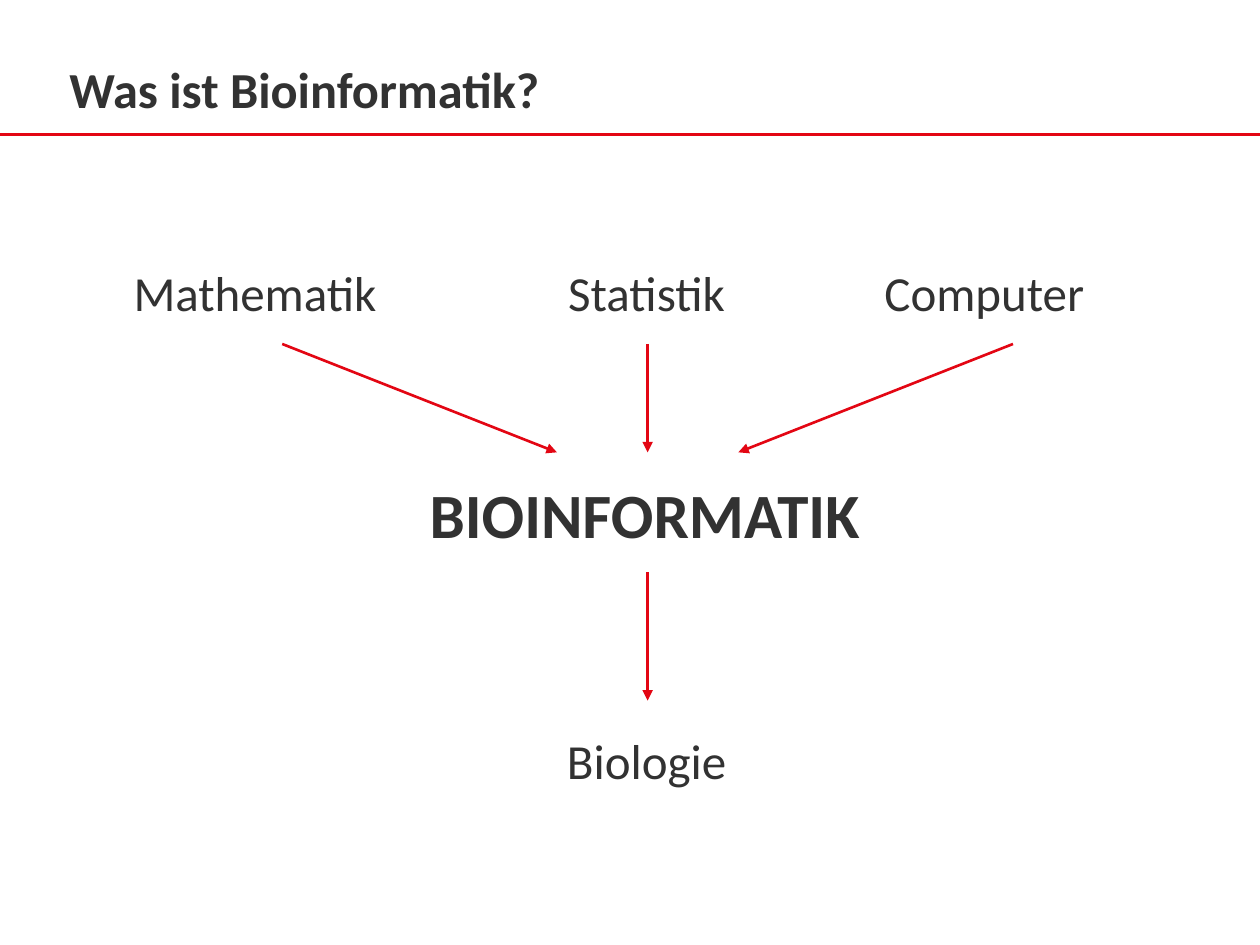
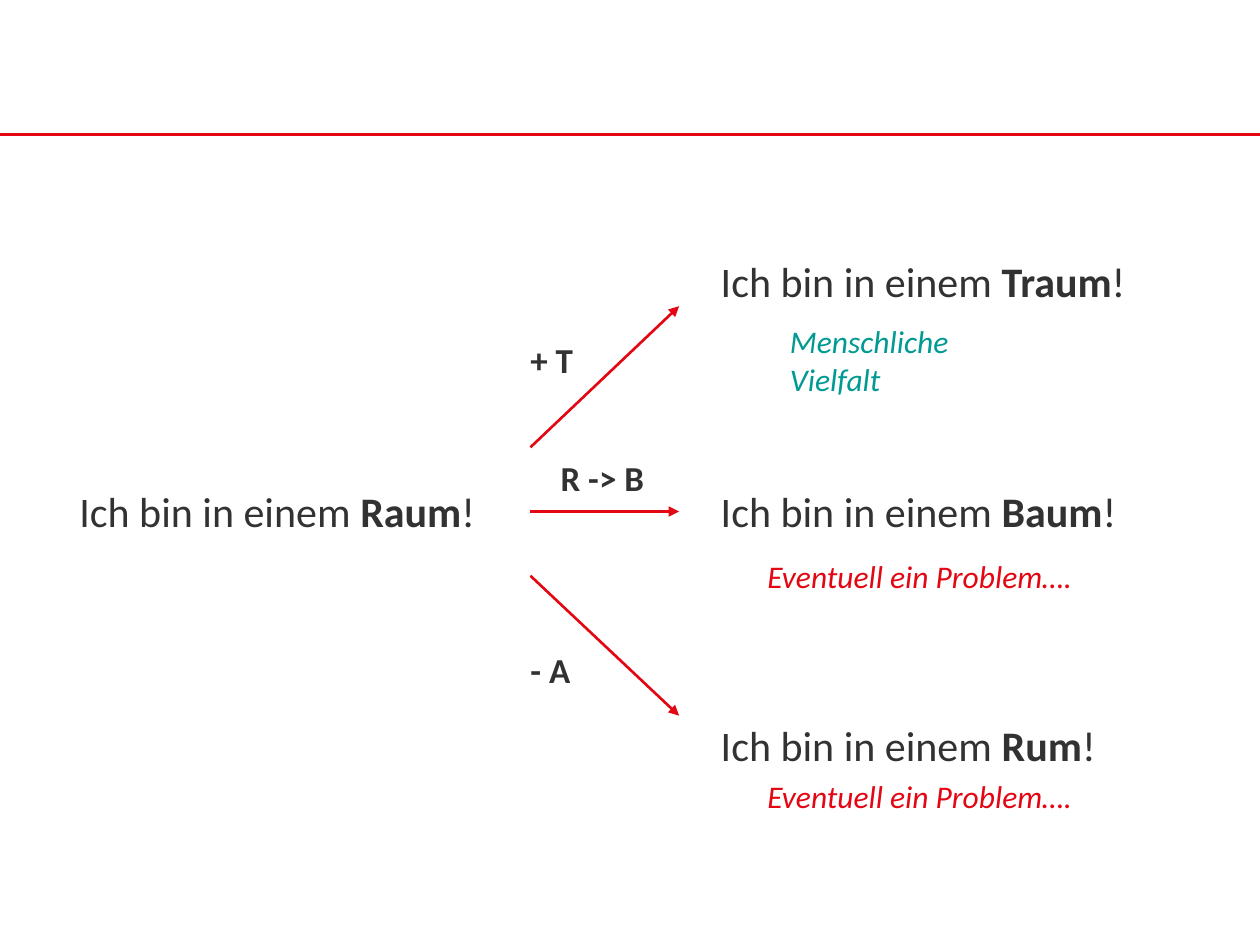
from lxml.etree import SubElement
from pptx import Presentation
from pptx.dml.color import RGBColor
from pptx.enum.shapes import MSO_CONNECTOR
from pptx.enum.text import MSO_ANCHOR, MSO_AUTO_SIZE
from pptx.oxml.ns import qn
from pptx.util import Inches, Pt

DARK = RGBColor(0x32, 0x32, 0x32)
RED = RGBColor(0xE3, 0x06, 0x13)
TEAL = RGBColor(0x00, 0x9A, 0x93)
FONT = "Calibri"
SLIDE_WIDTH, SLIDE_HEIGHT = 10, 7.5
RULE_TOP = 1.07

# Slide 1: the fields that feed bioinformatics, and the field it serves
TITLE = "Was ist Bioinformatik?"
SOURCE_TOP = 2.08
SOURCE_FIELDS = [("Mathematik", 1.06, 1.95), ("Statistik", 4.51, 1.26), ("Computer", 7.02, 1.6)]
CENTER_X = 5.14
ARROW_TOP, ARROW_BOTTOM = 2.73, 3.59
ARROW_SPREADS = [(-2.9, -0.72), (0, 0), (2.9, 0.72)]  # start and end, from the centre

# Slide 2: one sentence and its mutations
SENTENCE_START = "Ich bin in einem "
ORIGIN = ("Raum", 0.63, 3.85, 3.15)
VARIANT_LEFT = 5.72
VARIANTS = [
    # word, top, width, arrow start y, arrow end y
    ("Traum", 2.03, 3.22, 3.55, 2.43),
    ("Baum", 3.85, 3.15, 4.06, 4.06),
    ("Rum", 5.71, 2.99, 4.57, 5.68),
]
MUTATION_START, MUTATION_END = 4.21, 5.39
MUTATIONS = [("+ T", 4.21, 2.69, 0.34), ("R -> B", 4.45, 3.62, 0.67), ("- A", 4.21, 5.15, 0.32)]
PROBLEM = "Eventuell ein Problem…."
COMMENTS = [
    # text, left, top, width, height, colour, wraps
    ("Menschliche Vielfalt", 6.27, 2.56, 1.6, 0.6, TEAL, True),
    (PROBLEM, 6.09, 4.42, 2.44, 0.3, RED, False),
    (PROBLEM, 6.09, 6.17, 2.44, 0.3, RED, False),
]


def add_text(slide, parts, left, top, width, height, size,
             color=DARK, italic=False, wrap=False, anchor=MSO_ANCHOR.TOP):
    """Add a one-paragraph text box from (text, bold) parts."""
    box = slide.shapes.add_textbox(Inches(left), Inches(top), Inches(width), Inches(height))
    frame = box.text_frame
    frame.margin_left = frame.margin_right = frame.margin_top = frame.margin_bottom = 0
    frame.word_wrap = wrap
    frame.auto_size = MSO_AUTO_SIZE.NONE if wrap else MSO_AUTO_SIZE.SHAPE_TO_FIT_TEXT
    frame.vertical_anchor = anchor
    for text, bold in parts:
        run = frame.paragraphs[0].add_run()
        run.text = text
        run.font.name = FONT
        run.font.size = Pt(size)
        run.font.bold = bold
        run.font.italic = italic
        run.font.color.rgb = color


def add_line(slide, start_x, start_y, end_x, end_y, arrow=True):
    line = slide.shapes.add_connector(
        MSO_CONNECTOR.STRAIGHT,
        Inches(start_x), Inches(start_y), Inches(end_x), Inches(end_y))
    line.line.color.rgb = RED
    line.line.width = Pt(1.5)
    if arrow:
        SubElement(line.line._get_or_add_ln(), qn("a:tailEnd"), type="triangle")
    SubElement(line._element.spPr, qn("a:effectLst"))


def add_sentence(slide, word, left, top, width):
    parts = [(SENTENCE_START, False), (word, True), ("!", False)]
    add_text(slide, parts, left, top, width, 0.4, 24)


def add_base_slide(presentation, title=None):
    """Add a blank slide with the red rule and, if given, a title."""
    slide = presentation.slides.add_slide(presentation.slide_layouts[6])
    add_line(slide, 0, RULE_TOP, SLIDE_WIDTH, RULE_TOP, arrow=False)
    if title:
        add_text(slide, [(title, True)], 0.55, 0.44, 8.86, 0.53, 28.8,
                 wrap=True, anchor=MSO_ANCHOR.MIDDLE)
    return slide


def build_definition(presentation):
    slide = add_base_slide(presentation, TITLE)
    for field, left, width in SOURCE_FIELDS:
        add_text(slide, [(field, False)], left, SOURCE_TOP, width, 0.47, 28)
    add_text(slide, [("BIOINFORMATIK", True)], 3.41, 3.77, 3.45, 0.61, 36)
    add_text(slide, [("Biologie", False)], 4.5, 5.8, 1.27, 0.47, 28)
    for start, end in ARROW_SPREADS:
        add_line(slide, CENTER_X + start, ARROW_TOP, CENTER_X + end, ARROW_BOTTOM)
    add_line(slide, CENTER_X, 4.54, CENTER_X, 5.56)


def build_mutations(presentation):
    slide = add_base_slide(presentation)
    add_sentence(slide, *ORIGIN)
    for word, top, width, start_y, end_y in VARIANTS:
        add_sentence(slide, word, VARIANT_LEFT, top, width)
        add_line(slide, MUTATION_START, start_y, MUTATION_END, end_y)
    for label, left, top, width in MUTATIONS:
        add_text(slide, [(label, True)], left, top, width, 0.34, 20)
    for text, left, top, width, height, color, wrap in COMMENTS:
        add_text(slide, [(text, False)], left, top, width, height, 18,
                 color=color, italic=True, wrap=wrap)


def main():
    presentation = Presentation()
    presentation.slide_width = Inches(SLIDE_WIDTH)
    presentation.slide_height = Inches(SLIDE_HEIGHT)
    build_definition(presentation)
    build_mutations(presentation)
    presentation.save("out.pptx")


if __name__ == "__main__":
    main()
